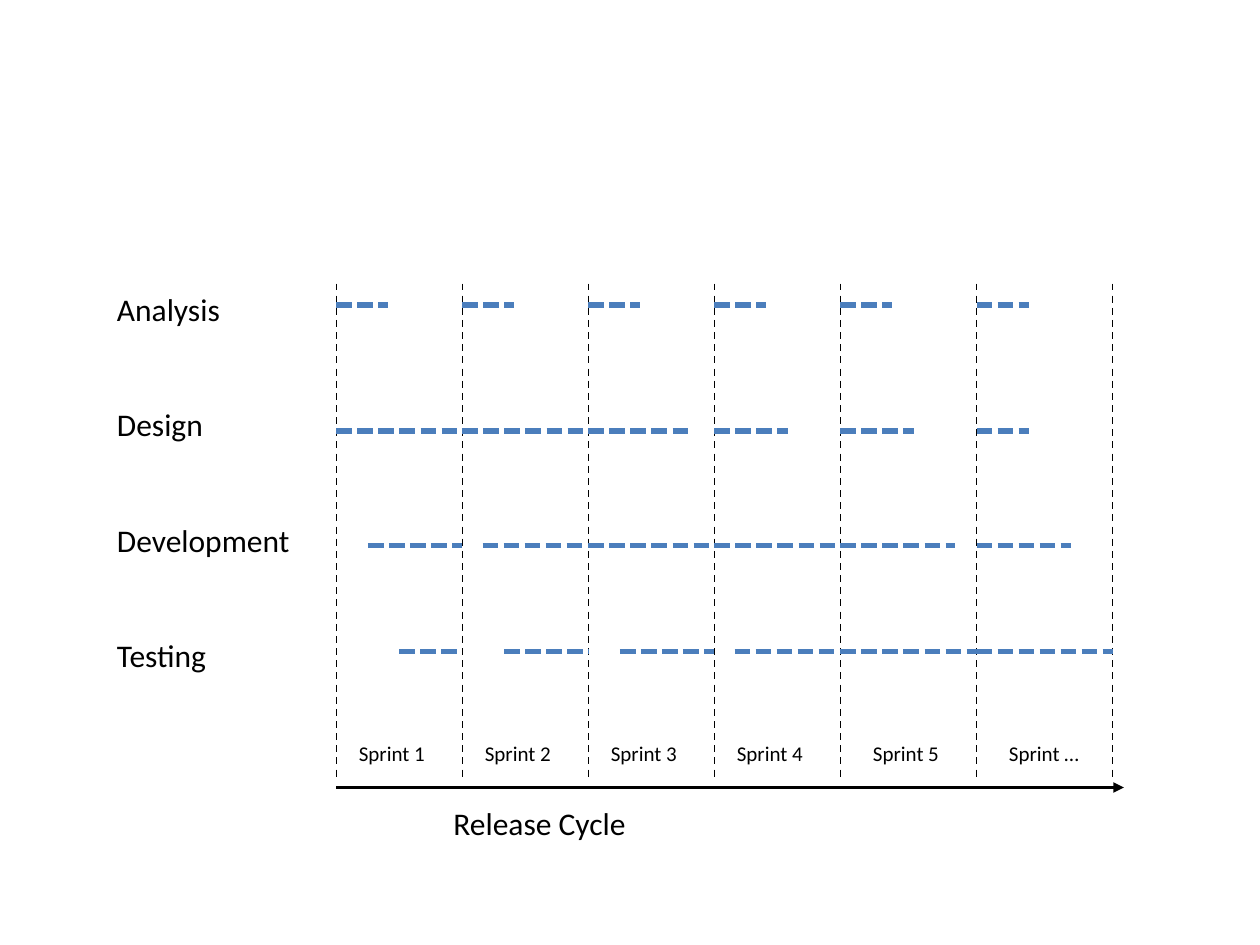
from lxml.etree import SubElement
from pptx import Presentation
from pptx.dml.color import RGBColor
from pptx.enum.dml import MSO_LINE
from pptx.enum.shapes import MSO_CONNECTOR
from pptx.enum.text import MSO_AUTO_SIZE
from pptx.oxml.ns import qn
from pptx.util import Inches, Pt

BLACK = RGBColor(0x00, 0x00, 0x00)
BLUE = RGBColor(0x4B, 0x7E, 0xBC)

AXIS = {"color": BLACK, "width": 2}
DIVIDER = {"color": BLACK, "width": 1, "dash": MSO_LINE.DASH}
ACTIVITY = {"color": BLUE, "width": 3, "dash": MSO_LINE.SQUARE_DOT}

LABEL_LEFT = 0.83
LABEL_TOP = 2.25
LABEL_STEP = 0.917
GRID_TOP, GRID_BOTTOM = 2.25, 6.17
AXIS_Y = 6.25
SPRINT_EDGES = [2.67, 3.67, 4.67, 5.67, 6.67, 7.75, 8.83]
SPRINTS = ["Sprint 1", "Sprint 2", "Sprint 3", "Sprint 4", "Sprint 5", "Sprint …"]

# Phase name, label width, height of its activity lines, and for each sprint
# the delay after the sprint's start and the duration
PHASES = [
    ("Analysis", 1.42, 2.42, [(0, 0.41)] * 5 + [(0, 0.42)]),
    ("Design", 1.42, 3.42,
     [(0, 1), (0, 1), (0, 0.83), (0, 0.58), (0, 0.58), (0, 0.42)]),
    ("Development", 1.58, 4.33,
     [(0.25, 0.75), (0.16, 0.84), (0, 1), (0, 1), (0, 0.91), (0, 0.75)]),
    ("Testing", 1.42, 5.17,
     [(0.5, 0.5), (0.33, 0.67), (0.25, 0.75), (0.16, 0.84), (0, 1.08), (0, 1.08)]),
]


def add_line(slide, x1, y1, x2, y2, style):
    cxn = slide.shapes.add_connector(
        MSO_CONNECTOR.STRAIGHT, Inches(x1), Inches(y1), Inches(x2), Inches(y2))
    cxn.line.color.rgb = style["color"]
    cxn.line.width = Pt(style["width"])
    if "dash" in style:
        cxn.line.dash_style = style["dash"]
    SubElement(cxn._element.spPr, qn("a:effectLst"))
    return cxn


def add_arrow(slide, x1, y1, x2, y2, style):
    cxn = add_line(slide, x1, y1, x2, y2, style)
    SubElement(cxn.line._get_or_add_ln(), qn("a:tailEnd"), type="triangle")


def add_label(slide, text, left, top, width, height, size):
    sp = slide.shapes.add_textbox(
        Inches(left), Inches(top), Inches(width), Inches(height))
    tf = sp.text_frame
    tf.word_wrap = True
    tf.auto_size = MSO_AUTO_SIZE.SHAPE_TO_FIT_TEXT
    r = tf.paragraphs[0].add_run()
    r.text = text
    for name, value in {"name": "Calibri", "size": Pt(size)}.items():
        setattr(r.font, name, value)
    r.font.color.rgb = BLACK


def add_sprint_grid(slide):
    for x in SPRINT_EDGES:
        add_line(slide, x, GRID_TOP, x, GRID_BOTTOM, DIVIDER)
    for name, right in zip(SPRINTS, SPRINT_EDGES[1:]):
        add_label(slide, name, right - 0.92, 5.83, 0.83, 0.3, 12)


def add_phases(slide):
    for i, (name, width, y, spans) in enumerate(PHASES):
        add_label(slide, name, LABEL_LEFT, LABEL_TOP + i * LABEL_STEP, width, 0.4, 18)
        for start, (delay, duration) in zip(SPRINT_EDGES, spans):
            left = start + delay
            add_line(slide, left, y, left + duration, y, ACTIVITY)


def main():
    prs = Presentation()
    prs.slide_width, prs.slide_height = Inches(10), Inches(7.5)
    slide = prs.slides.add_slide(prs.slide_layouts.get_by_name("Blank"))
    add_arrow(slide, SPRINT_EDGES[0], AXIS_Y, 8.92, AXIS_Y, AXIS)
    add_label(slide, "Release Cycle", 3.5, 6.33, 4.92, 0.4, 18)
    add_sprint_grid(slide)
    add_phases(slide)
    prs.save("out.pptx")


if __name__ == "__main__":
    main()
